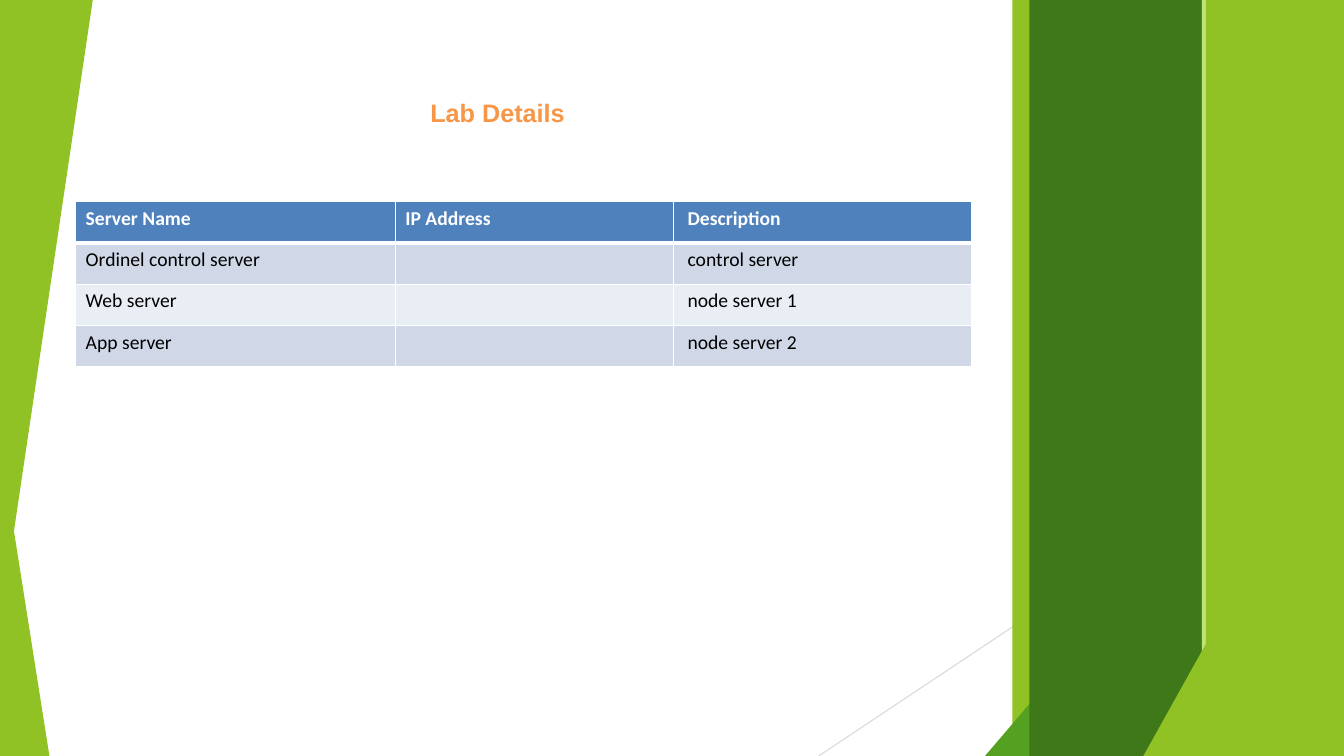
import pptx
import pptx.util
import pptx.dml.color
import pptx.enum.shapes
import pptx.oxml.ns
import lxml.etree

Inches = pptx.util.Inches
Pt = pptx.util.Pt
RGBColor = pptx.dml.color.RGBColor
Shape = pptx.enum.shapes.MSO_SHAPE

WHITE = RGBColor(0xFF, 0xFF, 0xFF)
BLACK = RGBColor(0, 0, 0)
LIME = RGBColor(0x90, 0xC2, 0x26)
GREEN = RGBColor(0x54, 0xA0, 0x21)
DARK = RGBColor(0x3F, 0x78, 0x19)
PALE = RGBColor(0xC0, 0xE4, 0x74)
GRAY = RGBColor(0xD9, 0xD9, 0xD9)
ORANGE = RGBColor(0xF7, 0x96, 0x46)
BLUE = RGBColor(0x4F, 0x81, 0xBD)
BANDS = [RGBColor(0xE9, 0xED, 0xF4), RGBColor(0xD0, 0xD8, 0xE8)]

WIDTH, HEIGHT = 13.33, 7.5
COLS = [3.17, 2.76, 2.96]
ROW = 0.41
ROWS = [
    ["Server Name", "IP Address", "Description"],
    ["Ordinel control server", "", "control server"],
    ["Web server", "", "node server 1"],
    ["App server", "", "node server 2"],
]


def add_node(parent, tag, **attrs):
    return lxml.etree.SubElement(parent, pptx.oxml.ns.qn(tag), attrs)


def add_solid(slide, kind, box, color):
    shape = slide.shapes.add_shape(kind, *map(Inches, box))
    shape.shadow.inherit = False
    shape.fill.solid()
    shape.fill.fore_color.rgb = color
    shape.line.fill.background()
    return shape


def add_band(slide, left, color):
    add_solid(slide, Shape.RECTANGLE, (left, 0, WIDTH - left, HEIGHT), color)


def add_wedge(slide, box, color, apex=1, turn=0):
    shape = add_solid(slide, Shape.ISOSCELES_TRIANGLE, box, color)
    shape.adjustments[0] = apex
    shape.rotation = turn


def add_line(slide, start, end, color):
    line = slide.shapes.add_connector(
        pptx.enum.shapes.MSO_CONNECTOR.STRAIGHT, *map(Inches, start + end))
    line.line.color.rgb = color
    line.line.width = Pt(0.75)
    add_node(line._element.spPr, "a:effectLst")


def add_decor(slide):
    add_wedge(slide, (0, 4.39, 0.49, 3.11), LIME, apex=0)
    add_line(slide, (WIDTH, 4.03), (8.12, HEIGHT), GRAY)
    add_band(slide, 10.04, LIME)
    add_wedge(slide, (9.77, 3.33, 3.56, 4.17), GREEN)
    for left, color in [(10.21, DARK), (11.92, PALE), (11.96, LIME)]:
        add_band(slide, left, color)
    add_wedge(slide, (11.34, 3.93, 1.99, 3.57), LIME)
    add_wedge(slide, (0, 0, 0.92, 6.2), LIME, turn=180)


def set_edge(cell, side, width):
    edge = add_node(cell._tc.get_or_add_tcPr(), "a:" + side, w=str(Pt(width)))
    fill = add_node(edge, "a:solidFill")
    add_node(fill, "a:srgbClr", val=str(WHITE))


def fill_cell(cell, text, row, col):
    head = row == 0
    cell.margin_left = Inches(0.14 if col == 2 else 0.1)
    for side in ("lnL", "lnR", "lnT", "lnB"):
        thick = (row, side) in [(0, "lnB"), (1, "lnT")]
        set_edge(cell, side, 3 if thick else 1)
    cell.fill.solid()
    cell.fill.fore_color.rgb = BLUE if head else BANDS[row % 2]
    cell.text = text
    set_font(cell.text_frame, "Calibri", 14, WHITE if head else BLACK, head)


def set_font(frame, name, size, color, bold):
    font = frame.paragraphs[0].font
    font.name = name
    font.size = Pt(size)
    font.bold = bold
    font.color.rgb = color


def add_grid(slide):
    box = (0.75, 2, sum(COLS), ROW * len(ROWS))
    frame = slide.shapes.add_table(len(ROWS), len(COLS), *map(Inches, box))
    table = frame.table
    for col, width in zip(table.columns, COLS):
        col.width = Inches(width)
    for r, texts in enumerate(ROWS):
        table.rows[r].height = Inches(ROW)
        for c, text in enumerate(texts):
            fill_cell(table.cell(r, c), text, r, c)


def add_title(slide, text):
    box = slide.shapes.add_textbox(*map(Inches, (4.17, 0.92, 1.75, 0.4)))
    box.text_frame.word_wrap = True
    box.text_frame.text = text
    set_font(box.text_frame, "Arial", 18, ORANGE, True)


def main():
    deck = pptx.Presentation()
    deck.slide_width = Inches(WIDTH)
    deck.slide_height = Inches(HEIGHT)
    slide = deck.slides.add_slide(deck.slide_layouts[6])
    add_decor(slide)
    add_grid(slide)
    add_title(slide, "Lab Details")
    deck.save("out.pptx")


main()
